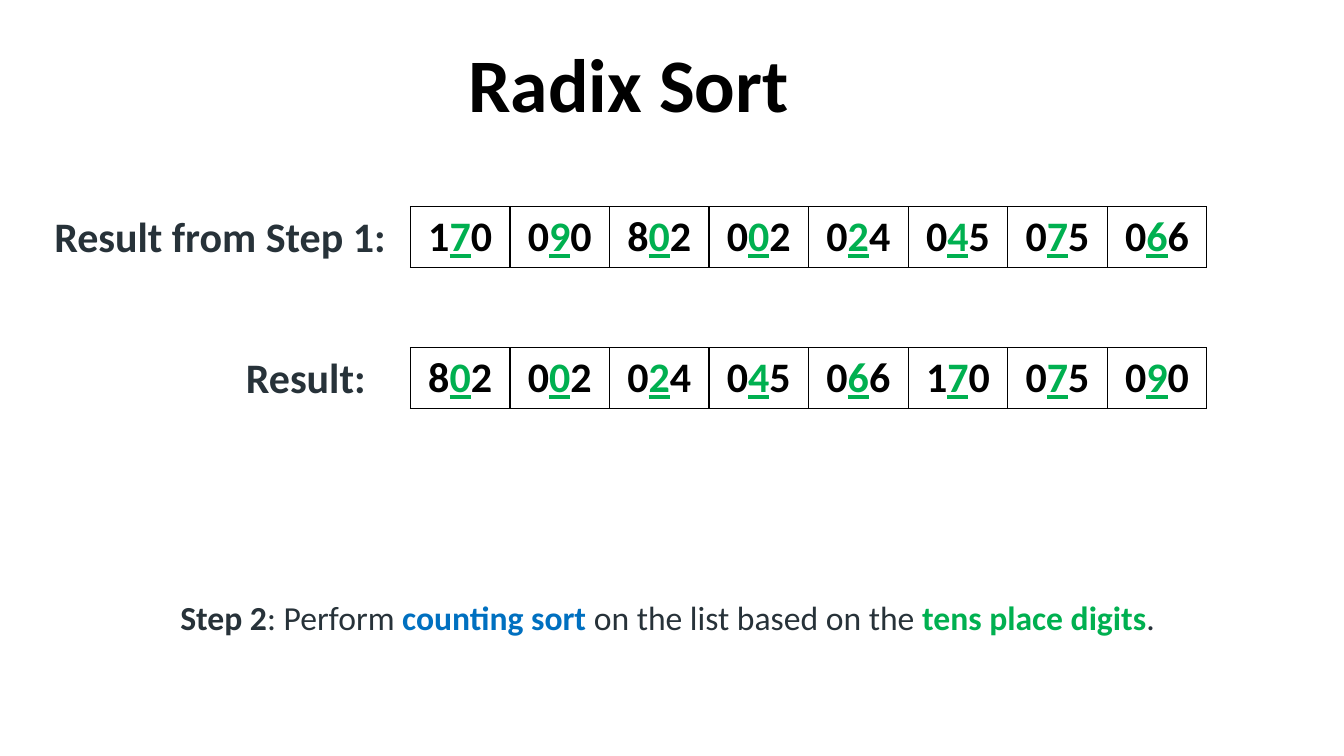
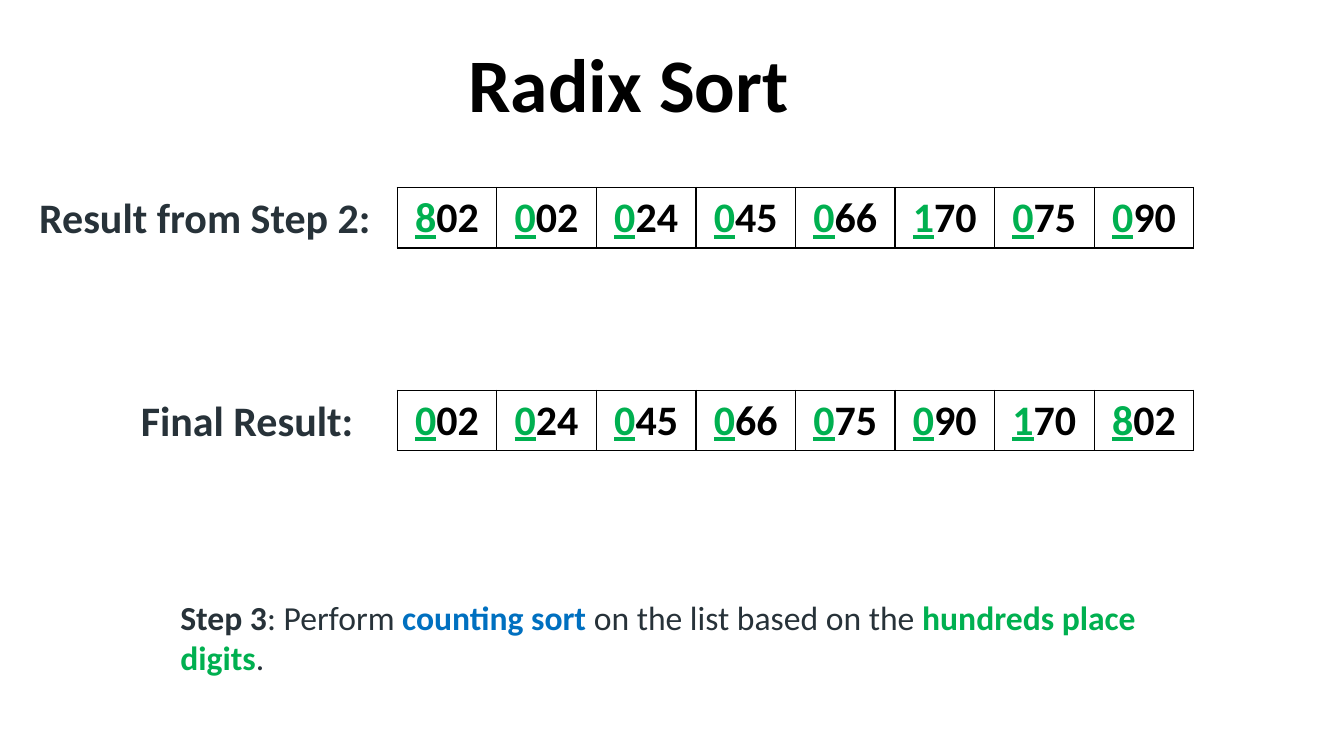
import dataclasses

import lxml.etree
import pptx
import pptx.dml.color
import pptx.enum.text
import pptx.oxml.ns
import pptx.util

EMU_PER_PX = 9144  # 100 px to the inch
SLIDE_WIDTH, SLIDE_HEIGHT = 1333, 750
LIST_WIDTH, LIST_HEIGHT = 790, 60

FONT = "Calibri"
COLORS = {
    "black": "000000",
    "white": "FFFFFF",
    "ink": "273239",
    "blue": "0070C0",
    "green": "00B050",
}

# Font settings and colour of each kind of text
FORMATS = {
    "title": ({"size": pptx.util.Pt(54), "bold": True}, "black"),
    "label": ({"size": pptx.util.Pt(30), "bold": True}, "ink"),
    "digit": ({"size": pptx.util.Pt(30), "bold": True}, "black"),
    "sorted digit": ({"size": pptx.util.Pt(30), "bold": True, "underline": True}, "green"),
    "step": ({"size": pptx.util.Pt(24), "bold": True}, "ink"),
    "body": ({"size": pptx.util.Pt(24), "bold": False}, "ink"),
    "algorithm": ({"size": pptx.util.Pt(24), "bold": True}, "blue"),
    "place": ({"size": pptx.util.Pt(24), "bold": True}, "green"),
}

Piece = tuple[str, str]  # text and the name of its format


@dataclasses.dataclass
class Box:
    left: int
    top: int
    width: int
    height: int

    def emu(self) -> list[int]:
        return [scaled(px) for px in dataclasses.astuple(self)]


@dataclasses.dataclass
class NumberList:
    label: str
    label_left: int
    label_width: int
    top: int
    numbers: str


@dataclasses.dataclass
class Step:
    number: int
    place: str
    digit: int  # position of the sorted digit in each number
    list_left: int
    lists: list[NumberList]
    caption_height: int


TITLE_BOX = Box(80, 54, 1087, 79)

STEPS = [
    Step(2, "tens", 1, 407, [
        NumberList("Result from Step 1:", 44, 354, 205, "170 090 802 002 024 045 075 066"),
        NumberList("Result:", 234, 142, 345, "802 002 024 045 066 170 075 090"),
    ], 50),
    Step(3, "hundreds", 0, 394, [
        NumberList("Result from Step 2:", 29, 354, 186, "802 002 024 045 066 170 075 090"),
        NumberList("Final Result:", 130, 233, 387, "002 024 045 066 075 090 170 802"),
    ], 91),
]


def scaled(px: int) -> int:
    return px * EMU_PER_PX


def write(paragraph, pieces: list[Piece]) -> None:
    for text, format_name in pieces:
        if not text:
            continue
        run = paragraph.add_run()
        run.text = text
        settings, color = FORMATS[format_name]
        for attribute, value in {"name": FONT, **settings}.items():
            setattr(run.font, attribute, value)
        run.font.color.rgb = pptx.dml.color.RGBColor.from_string(COLORS[color])


def add_text(slide, box: Box, pieces: list[Piece]):
    frame = slide.shapes.add_textbox(*box.emu()).text_frame
    frame.word_wrap = True
    write(frame.paragraphs[0], pieces)
    return frame


def add_title(slide) -> None:
    frame = add_text(slide, TITLE_BOX, [("Radix Sort", "title")])
    frame.vertical_anchor = pptx.enum.text.MSO_ANCHOR.BOTTOM
    frame.paragraphs[0].alignment = pptx.enum.text.PP_ALIGN.CENTER
    frame.paragraphs[0].line_spacing = 0.9


def add_borders(cell) -> None:
    properties = cell._tc.get_or_add_tcPr()
    qn = pptx.oxml.ns.qn
    for index, side in enumerate(("a:lnL", "a:lnR", "a:lnT", "a:lnB")):
        line = lxml.etree.Element(qn(side), w=str(pptx.util.Pt(1)))
        fill = lxml.etree.SubElement(line, qn("a:solidFill"))
        lxml.etree.SubElement(fill, qn("a:srgbClr"), val=COLORS["black"])
        properties.insert(index, line)  # borders come before the fill


def add_number_list(slide, number_list: NumberList, left: int, digit: int) -> None:
    label_box = Box(number_list.label_left, number_list.top - 1, number_list.label_width, 61)
    label = add_text(slide, label_box, [(number_list.label, "label")])
    label.auto_size = pptx.enum.text.MSO_AUTO_SIZE.SHAPE_TO_FIT_TEXT

    numbers = number_list.numbers.split()
    list_box = Box(left, number_list.top, LIST_WIDTH, LIST_HEIGHT)
    table = slide.shapes.add_table(1, len(numbers), *list_box.emu()).table
    table.first_row = table.horz_banding = False
    for column, number in enumerate(numbers):
        cell = table.cell(0, column)
        cell.fill.background()
        add_borders(cell)
        paragraph = cell.text_frame.paragraphs[0]
        paragraph.alignment = pptx.enum.text.PP_ALIGN.CENTER
        write(paragraph, [
            (number[:digit], "digit"),
            (number[digit], "sorted digit"),
            (number[digit + 1:], "digit"),
        ])


def add_caption(slide, step: Step) -> None:
    caption = add_text(slide, Box(169, 587, 1015, step.caption_height), [
        (f"Step {step.number}", "step"),
        (": Perform ", "body"),
        ("counting sort ", "algorithm"),
        ("on the list based on the ", "body"),
        (f"{step.place} place digits", "place"),
        (".", "body"),
    ])
    caption.auto_size = pptx.enum.text.MSO_AUTO_SIZE.SHAPE_TO_FIT_TEXT


def add_step_slide(deck, step: Step) -> None:
    slide = deck.slides.add_slide(deck.slide_layouts[6])
    background = slide.background.fill
    background.solid()
    background.fore_color.rgb = pptx.dml.color.RGBColor.from_string(COLORS["white"])
    add_title(slide)
    for number_list in step.lists:
        add_number_list(slide, number_list, step.list_left, step.digit)
    add_caption(slide, step)


def main() -> None:
    deck = pptx.Presentation()
    deck.slide_width = scaled(SLIDE_WIDTH)
    deck.slide_height = scaled(SLIDE_HEIGHT)
    for step in STEPS:
        add_step_slide(deck, step)
    deck.save("out.pptx")


if __name__ == "__main__":
    main()
